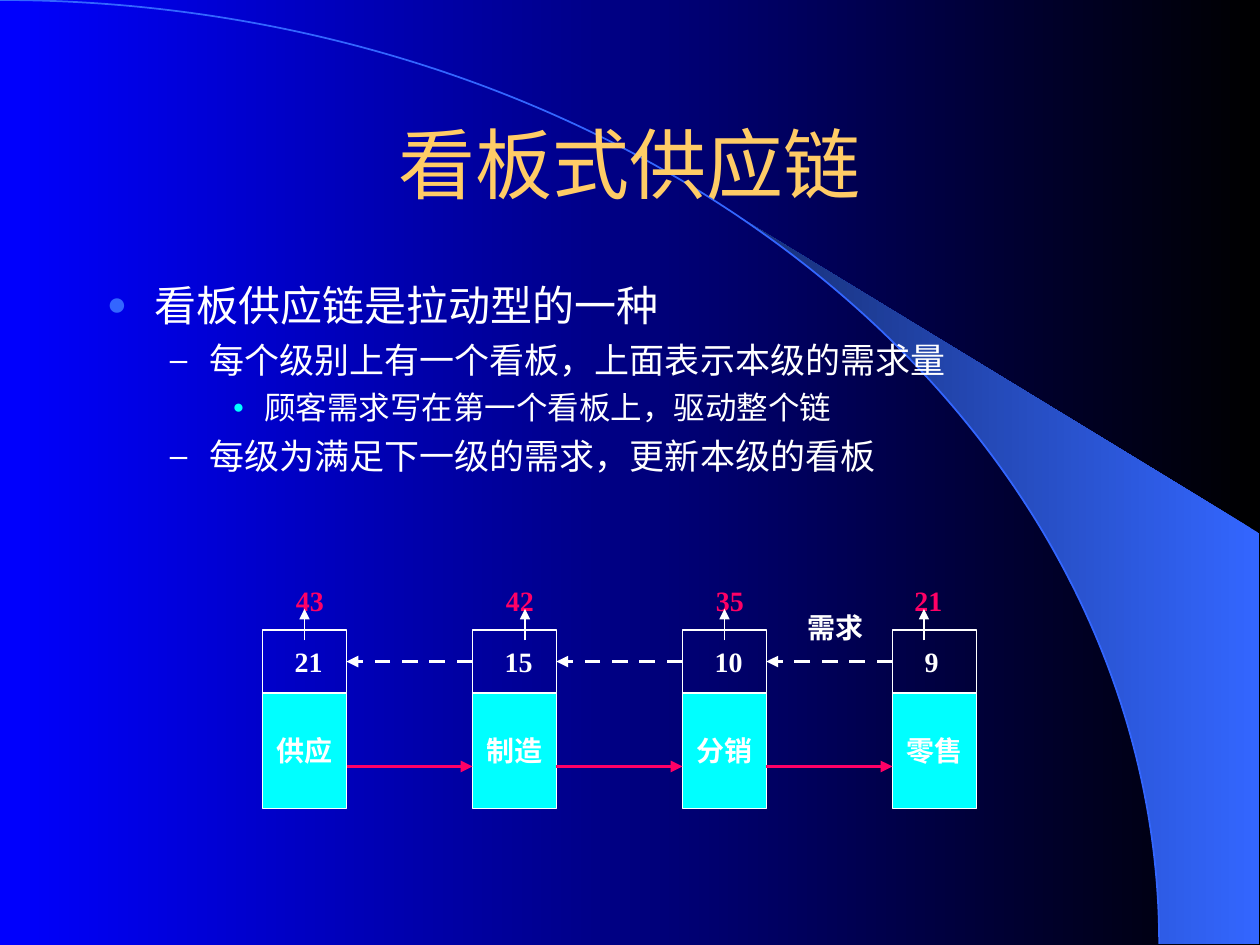
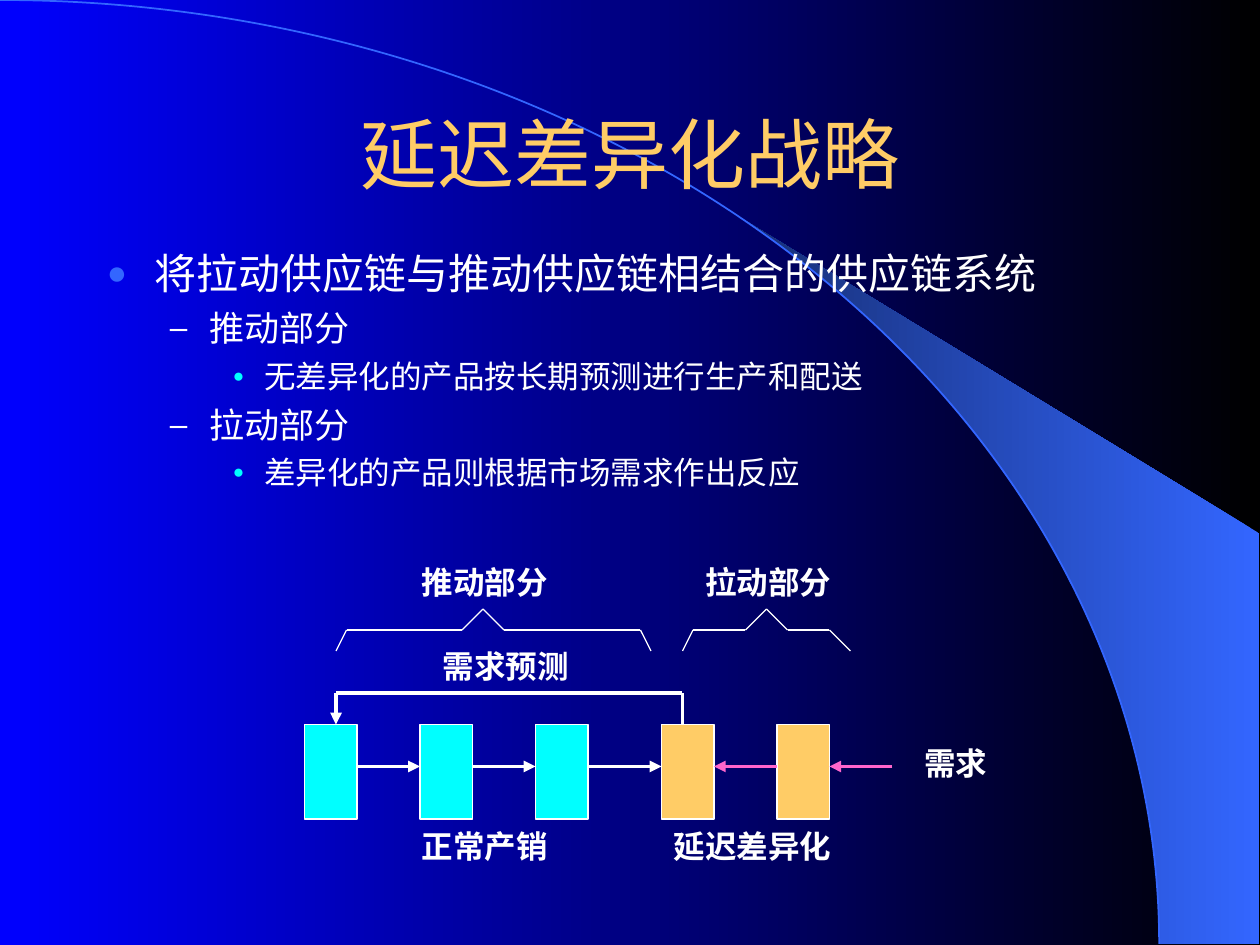
import math
from itertools import pairwise

from lxml import etree
from pptx import Presentation
from pptx import util as u
from pptx.dml.color import RGBColor
from pptx.enum import dml, shapes, text
from pptx.oxml import ns

# Colours and fonts
BLACK = RGBColor(0x00, 0x00, 0x00)
BLUE = RGBColor(0x00, 0x00, 0xFF)
ROYAL = RGBColor(0x33, 0x66, 0xFF)
NAVY = RGBColor(0x17, 0x2F, 0x75)
WHITE = RGBColor(0xFF, 0xFF, 0xFF)
GOLD = RGBColor(0xFF, 0xCC, 0x66)
CYAN = RGBColor(0x00, 0xFF, 0xFF)
RED = RGBColor(0xFF, 0x00, 0x66)
PINK = RGBColor(0xFF, 0x66, 0xCC)
TITLE_FONT = "Arial"
BODY_FONT = "Times New Roman"

# Page and its arc, in points
WIDTH, HEIGHT = 720, 540
ARC_X, ARC_Y = 662.4, 539.3
SWOOSH_START, SWOOSH_STEPS = 39.8, 26

# Outline levels: margin, hanging indent, space before, bullet, its colour and percent, text size
LEVELS = [
    (27, 27, 6, "●", ROYAL, 80, 24),
    (58.5, 22.5, 5, "–", WHITE, 90, 20),
    (90, 18, 4.5, "●", CYAN, 60, 18),
]


def apply(target, **formats):
    for attribute, value in formats.items():
        setattr(target, attribute, value)


def points(*lengths):
    return [u.Pt(length) for length in lengths]


def paint_gradient(fill, start, end):
    fill.gradient()
    fill.gradient_angle = 180
    for stop, color in zip(fill.gradient_stops, (start, end)):
        stop.color.rgb = color


def add_run(paragraph, wording, size, color, font=BODY_FONT, bold=False):
    run = paragraph.add_run()
    run.text = wording
    apply(run.font, size=u.Pt(size), name=font, bold=bold)
    run.font.color.rgb = color


def add_backdrop(slide):
    """Gradient background, shaded swoosh and thin arc."""
    paint_gradient(slide.background.fill, BLACK, BLUE)

    sweep = (90 - SWOOSH_START) / SWOOSH_STEPS
    angles = [math.radians(SWOOSH_START + sweep * step) for step in range(SWOOSH_STEPS + 1)]
    edge = [points(ARC_X * math.sin(a), ARC_Y * (1 - math.cos(a))) for a in angles]
    corner = [points(719.3, 539.3), points(719.3, 304.6)]
    outline = slide.shapes.build_freeform(*edge[0], scale=1.0)
    outline.add_line_segments(edge[1:] + corner, close=True)
    swoosh = outline.convert_to_shape()
    swoosh.shadow.inherit = False
    paint_gradient(swoosh.fill, ROYAL, NAVY)
    swoosh.line.fill.background()

    arc = slide.shapes.add_shape(shapes.MSO_SHAPE.ARC, *points(-ARC_X, 0, 2 * ARC_X, 2 * ARC_Y))
    arc.shadow.inherit = False
    arc.fill.background()
    arc.line.color.rgb = ROYAL
    arc.line.width = u.Pt(1)


def add_title(slide, top, wording):
    frame = slide.shapes.add_textbox(*points(54, top, 612, 90)).text_frame
    apply(frame, word_wrap=True, vertical_anchor=text.MSO_ANCHOR.MIDDLE)
    frame.paragraphs[0].alignment = text.PP_ALIGN.CENTER
    add_run(frame.paragraphs[0], wording, 44, GOLD, TITLE_FONT)


def add_bullet(paragraph, margin, hanging, mark, color, percent):
    properties = paragraph._p.get_or_add_pPr()
    properties.set("marL", str(u.Pt(margin)))
    properties.set("indent", str(-u.Pt(hanging)))
    holder = etree.SubElement(properties, ns.qn("a:buClr"))
    etree.SubElement(holder, ns.qn("a:srgbClr"), val=str(color))
    etree.SubElement(properties, ns.qn("a:buSzPct"), val=str(percent * 1000))
    etree.SubElement(properties, ns.qn("a:buFont"), typeface=TITLE_FONT)
    etree.SubElement(properties, ns.qn("a:buChar"), char=mark)


def add_outline(slide, top, items):
    frame = slide.shapes.add_textbox(*points(54, top, 612, 324)).text_frame
    frame.word_wrap = True
    for index, (level, wording) in enumerate(items):
        margin, hanging, before, mark, color, percent, size = LEVELS[level]
        paragraph = frame.add_paragraph() if index else frame.paragraphs[0]
        add_bullet(paragraph, margin, hanging, mark, color, percent)
        apply(paragraph, level=level, space_before=u.Pt(before if index else 0))
        add_run(paragraph, wording, size, WHITE)


def add_box(slide, left, top, width, height, fill=None, wording=None):
    box = slide.shapes.add_shape(shapes.MSO_SHAPE.RECTANGLE, *points(left, top, width, height))
    box.shadow.inherit = False
    if fill is None:
        box.fill.background()
    else:
        box.fill.solid()
        box.fill.fore_color.rgb = fill
    box.line.color.rgb = WHITE
    box.line.width = u.Pt(0.75)
    if wording:
        apply(box.text_frame, word_wrap=False, vertical_anchor=text.MSO_ANCHOR.MIDDLE)
        box.text_frame.paragraphs[0].alignment = text.PP_ALIGN.CENTER
        add_run(box.text_frame.paragraphs[0], wording, 16, WHITE, bold=True)
    return box


def add_label(slide, left, top, width, wording, size=18, color=WHITE):
    height = 29 if size == 18 else 26.6
    frame = slide.shapes.add_textbox(*points(left, top, width, height)).text_frame
    apply(frame, word_wrap=False, auto_size=text.MSO_AUTO_SIZE.SHAPE_TO_FIT_TEXT)
    add_run(frame.paragraphs[0], wording, size, color, bold=True)


def add_line(slide, start, end, color=WHITE, width=2.25, arrow=True, dash=None):
    line = slide.shapes.add_connector(shapes.MSO_CONNECTOR.STRAIGHT, *points(*start, *end))
    line.line.color.rgb = color
    apply(line.line, width=u.Pt(width), dash_style=dash)
    properties = line.element.spPr
    if arrow:
        etree.SubElement(properties.find(ns.qn("a:ln")), ns.qn("a:tailEnd"), type="triangle")
    etree.SubElement(properties, ns.qn("a:effectLst"))
    return line


def add_polyline(slide, corners, width, arrow=False):
    """Join the corners by lines; only the last one may carry an arrowhead."""
    for start, end in pairwise(corners):
        add_line(slide, start, end, width=width, arrow=arrow and end == corners[-1])


def add_brace(slide, left, tip, right, right_foot):
    corners = [(left, 372), (left + 6, 360), (tip - 12, 360), (tip, 348),
               (tip + 12, 360), (right, 360), (right_foot, 372)]
    add_polyline(slide, corners, 0.75)


def build_kanban(slide):
    add_backdrop(slide)
    add_title(slide, 48, "看板式供应链")
    add_outline(slide, 156, [
        (0, "看板供应链是拉动型的一种"),
        (1, "每个级别上有一个看板，上面表示本级的需求量"),
        (2, "顾客需求写在第一个看板上，驱动整个链"),
        (1, "每级为满足下一级的需求，更新本级的看板"),
    ])

    # Stages: name, stock, demand, demand offset, arrow offset
    stages = [
        ("供应", "21", "43", 12, 24),
        ("制造", "15", "42", 12, 30),
        ("分销", "10", "35", 12, 24),
        ("零售", "9", "21", 5.5, 18),
    ]
    first, pitch, width = 150, 120, 48
    kanbans = []
    for index, (name, stock, demand, demand_offset, arrow_offset) in enumerate(stages):
        left = first + index * pitch
        add_box(slide, left, 396, width, 66, CYAN, name)
        kanbans.append(add_box(slide, left, 360, width, 36))
        add_label(slide, left + 11.3, 365, 15 + 8 * len(stock), stock, 16)
        add_label(slide, left + demand_offset, 330, 31, demand, 16, RED)
        add_line(slide, (left + arrow_offset, 366), (left + arrow_offset, 348), width=0.75)

    # Demand travels back, goods travel forward
    for index, (supplier, customer) in enumerate(pairwise(kanbans)):
        near = first + index * pitch + width
        far = first + (index + 1) * pitch
        request = add_line(slide, (far, 378), (near, 378), dash=dml.MSO_LINE.DASH)
        request.begin_connect(customer, 1)
        request.end_connect(supplier, 3)
        add_line(slide, (near, 438), (far, 438), RED)
    add_label(slide, 454.5, 345.6, 48, "需求", 16)


def build_postponement(slide):
    add_backdrop(slide)
    add_title(slide, 42, "延迟差异化战略")
    add_outline(slide, 138, [
        (0, "将拉动供应链与推动供应链相结合的供应链系统"),
        (1, "推动部分"),
        (2, "无差异化的产品按长期预测进行生产和配送"),
        (1, "拉动部分"),
        (2, "差异化的产品则根据市场需求作出反应"),
    ])

    # Push steps, then pull steps
    width, flow = 30, 438
    push, pull = [174, 240, 306], [378, 444]
    for left in push + pull:
        add_box(slide, left, 414, width, 54, CYAN if left in push else GOLD)
    for left, following in pairwise(push + pull[:1]):
        add_line(slide, (left + width, flow), (following, flow))
    for left, source in pairwise(pull + [510]):
        add_line(slide, (source, flow), (left + width, flow), PINK)

    # Forecast loop and braces
    add_polyline(slide, [(390, 414), (390, 396), (192, 396), (192, 414)], 2.25, arrow=True)
    add_brace(slide, 192, 276, 366, 372)
    add_brace(slide, 390, 438, 474, 486)

    for left, top, label_width, wording in [
        (521, 421.5, 52, "需求"),
        (246, 366, 88, "需求预测"),
        (234, 318, 88, "推动部分"),
        (396, 318, 88, "拉动部分"),
        (234, 469, 88, "正常产销"),
        (378, 469, 106, "延迟差异化"),
    ]:
        add_label(slide, left, top, label_width, wording)


def main():
    deck = Presentation()
    apply(deck, slide_width=u.Pt(WIDTH), slide_height=u.Pt(HEIGHT))
    blank = deck.slide_layouts[6]
    for build in (build_kanban, build_postponement):
        build(deck.slides.add_slide(blank))
    deck.save("out.pptx")


if __name__ == "__main__":
    main()
